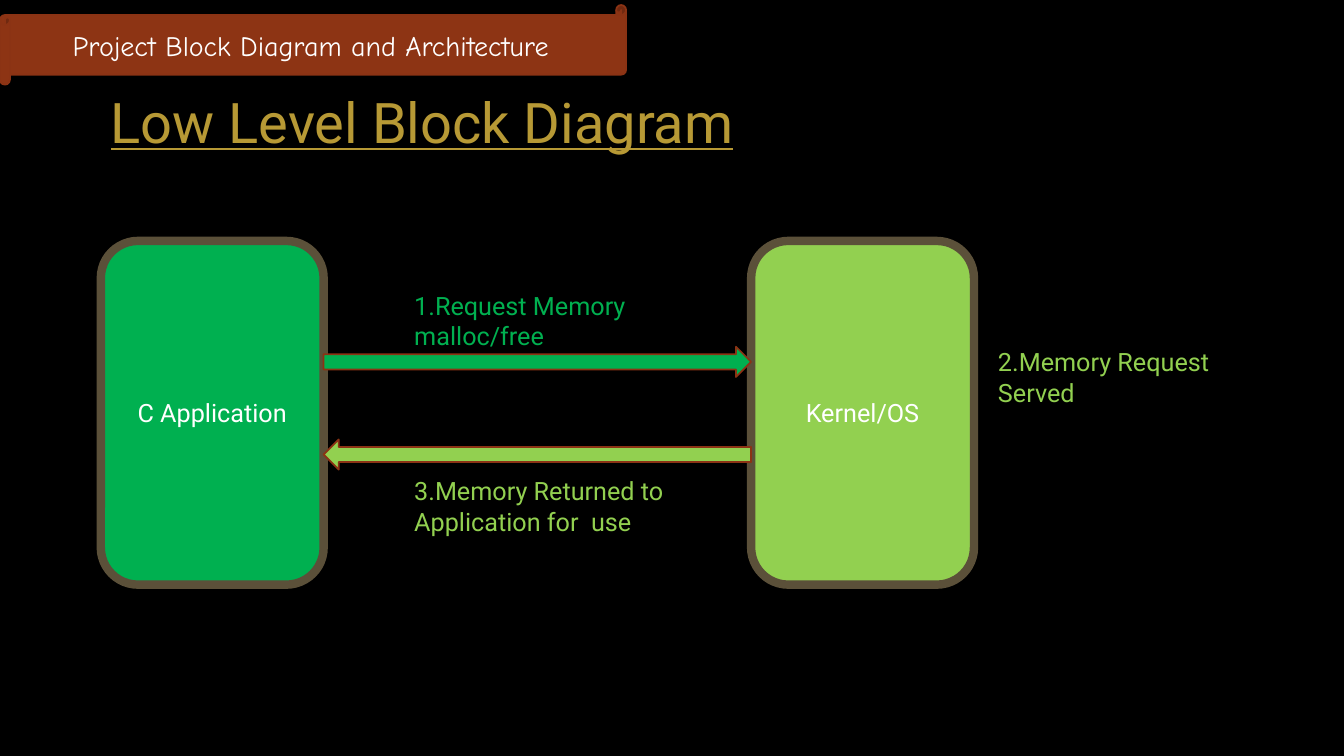
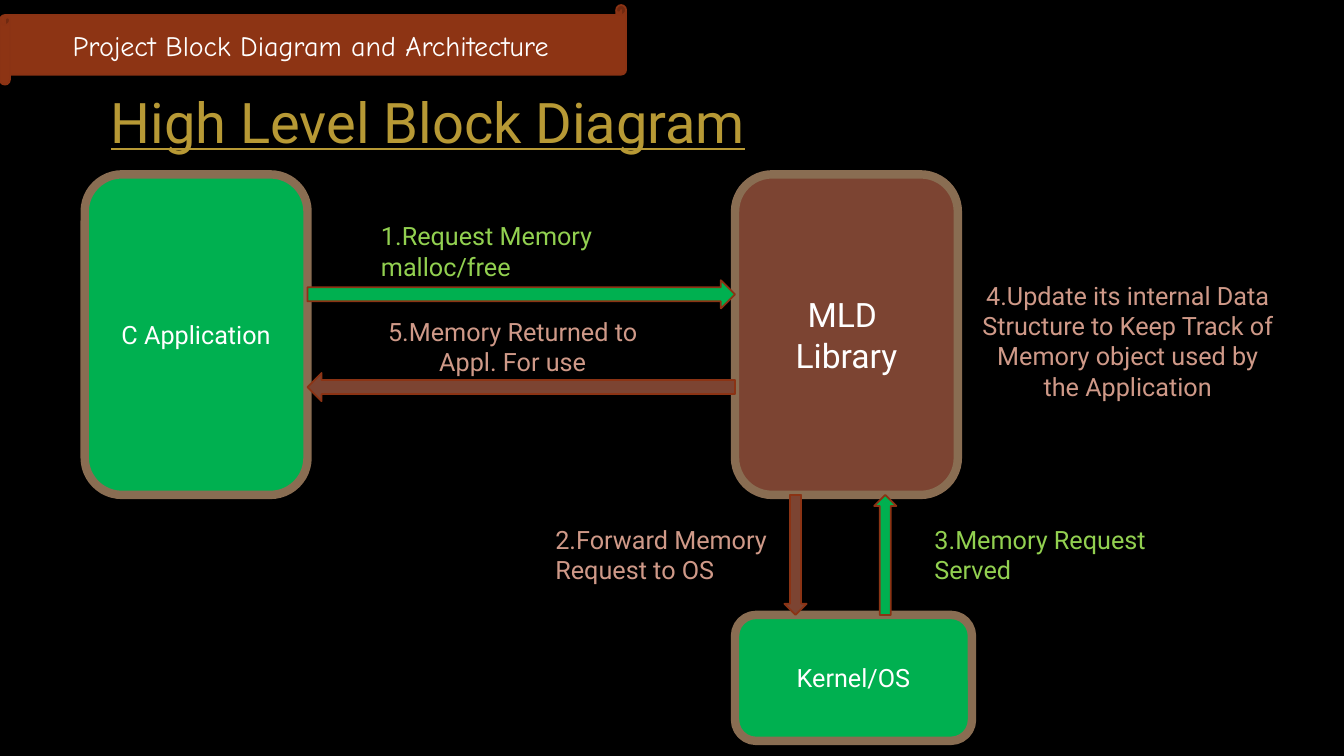
from dataclasses import dataclass

from pptx import Presentation
from pptx.dml.color import RGBColor
from pptx.enum.shapes import MSO_SHAPE as Preset
from pptx.enum.text import MSO_ANCHOR as Anchor, PP_ALIGN as Align
from pptx.util import Emu, Pt

PX = 9144
LABEL_HEIGHT = 71
BLOCK_WIDTH = 221


@dataclass(frozen=True)
class Theme:
    """Colours, fonts and type sizes of the deck."""
    background: str = "000000"
    title: str = "B79935"
    banner: str = "8D3414"
    outline: str = "8B3314"
    low_frame: str = "5B5039"
    high_frame: str = "896D52"
    green: str = "00B050"
    lime: str = "92D050"
    brown: str = "7C4432"
    rose: str = "CF9988"
    white: str = "FFFFFF"
    body_font: str = "Roboto"
    banner_font: str = "Comic Neue"
    title_size: int = 40
    library_size: int = 24
    banner_size: int = 20
    body_size: int = 18
    frame_width: float = 6
    outline_width: float = 1.25


THEME = Theme()


def px(*lengths):
    """Turn pixel lengths into EMU."""
    return [Emu(length * PX) for length in lengths]


def write(shape, text, color=THEME.white, size=THEME.body_size, font=THEME.body_font,
          align=Align.LEFT, anchor=Anchor.TOP, underline=None):
    """Fill a shape with formatted text, one paragraph per line."""
    frame = shape.text_frame
    frame.word_wrap = True
    frame.vertical_anchor = anchor
    for index, line in enumerate(text.split("\n")):
        paragraph = frame.add_paragraph() if index else frame.paragraphs[0]
        paragraph.alignment = align
        run = paragraph.add_run()
        run.text = line
        run.font.name = font
        run.font.size = Pt(size)
        run.font.underline = underline
        run.font.color.rgb = RGBColor.from_string(color)


def label(slide, box, text, color, **style):
    """Place free text in a box."""
    write(slide.shapes.add_textbox(*px(*box)), text, color=color, **style)


def figure(slide, preset, box, fill, line=THEME.outline, width=THEME.outline_width):
    """Draw a filled and outlined preset shape."""
    shape = slide.shapes.add_shape(preset, *px(*box))
    shape.shadow.inherit = False
    shape.fill.solid()
    shape.fill.fore_color.rgb = RGBColor.from_string(fill)
    shape.line.color.rgb = RGBColor.from_string(line)
    shape.line.width = Pt(width)
    return shape


def block(slide, box, text, fill, frame, size=THEME.body_size):
    """Draw a rounded component with a thick frame and a centred name."""
    shape = figure(slide, Preset.ROUNDED_RECTANGLE, box, fill, frame, THEME.frame_width)
    write(shape, text, size=size, align=Align.CENTER, anchor=Anchor.MIDDLE)


def header(slide, box, title):
    """Draw the scroll banner and the underlined title below it."""
    left, top, width, height = box
    banner = figure(slide, Preset.HORIZONTAL_SCROLL, (left, top, 621, 79), THEME.banner)
    write(banner, "Project Block Diagram and Architecture ", size=THEME.banner_size,
          font=THEME.banner_font, align=Align.CENTER, anchor=Anchor.MIDDLE)
    label(slide, (left + 100, top + 62, width - 201, height - 62), title, THEME.title,
          size=THEME.title_size, anchor=Anchor.MIDDLE, underline=True)


def exchange(slide, box, partner, fill, frame, arrow_height, partner_size=THEME.body_size):
    """Draw the application, its partner and the request and reply arrows."""
    left, top, width, height = box
    partner_left = left + width - BLOCK_WIDTH
    block(slide, (left, top, BLOCK_WIDTH, height), "C Application", THEME.green, frame)
    block(slide, (partner_left, top, BLOCK_WIDTH, height), partner, fill, frame, partner_size)
    lane = left + BLOCK_WIDTH
    for preset, offset, color in ((Preset.RIGHT_ARROW, 105, THEME.green),
                                  (Preset.LEFT_ARROW, 197, fill)):
        figure(slide, preset, (lane, top + offset, partner_left - lane, arrow_height), color)


def low_level(slide, box):
    """Draw the direct exchange between application and kernel."""
    left, top, width, height = box
    exchange(slide, (left, top, 866, height), "Kernel/OS", THEME.lime, THEME.low_frame, 30)
    for x, y, label_width, text, color in (
        (301, 44, 281, "1.Request Memory malloc/free", THEME.green),
        (301, 228, 281, "3.Memory Returned to Application for  use", THEME.lime),
        (880, 100, width - 880, "2.Memory Request Served", THEME.lime),
    ):
        label(slide, (left + x, top + y, label_width, LABEL_HEIGHT), text, color)


def high_level(slide, box):
    """Draw the exchange through the library, with the kernel below it."""
    left, top, width, height = box
    block_height, kernel_top = 318, height - 125
    exchange(slide, (left, top, 866, block_height), "MLD \nLibrary", THEME.brown,
             THEME.high_frame, 28, THEME.library_size)
    block(slide, (left + 645, top + kernel_top, 235, 125), "Kernel/OS",
          THEME.green, THEME.high_frame)
    for preset, x, color in ((Preset.DOWN_ARROW, 694, THEME.brown),
                             (Preset.UP_ARROW, 783, THEME.green)):
        figure(slide, preset,
               (left + x, top + block_height, 22, kernel_top - block_height), color)
    for x, y, label_width, text, color, align in (
        (284, 41, 281, "1.Request Memory malloc/free", THEME.lime, Align.LEFT),
        (284, 136, 281, "5.Memory Returned to Appl. For use", THEME.rose, Align.CENTER),
        (880, 100, width - 880, "4.Update its internal Data Structure to Keep Track of "
         "Memory object used by the Application", THEME.rose, Align.CENTER),
        (457, 342, 257, "2.Forward Memory Request to OS", THEME.rose, Align.LEFT),
        (833, 342, 246, "3.Memory Request Served", THEME.lime, Align.LEFT),
    ):
        label(slide, (left + x, top + y, label_width, LABEL_HEIGHT), text, color, align=align)


def main():
    """Build and save the deck."""
    deck = Presentation()
    deck.slide_width, deck.slide_height = px(1333, 750)
    for title, diagram, box in (
        ("Low Level Block Diagram", low_level, (100, 239, 1113, 341)),
        ("High Level Block Diagram", high_level, (84, 173, 1189, 562)),
    ):
        slide = deck.slides.add_slide(deck.slide_layouts[6])
        slide.background.fill.solid()
        slide.background.fill.fore_color.rgb = RGBColor.from_string(THEME.background)
        header(slide, (0, 5, 1333, 168), title)
        diagram(slide, box)
    deck.save("out.pptx")


if __name__ == "__main__":
    main()
